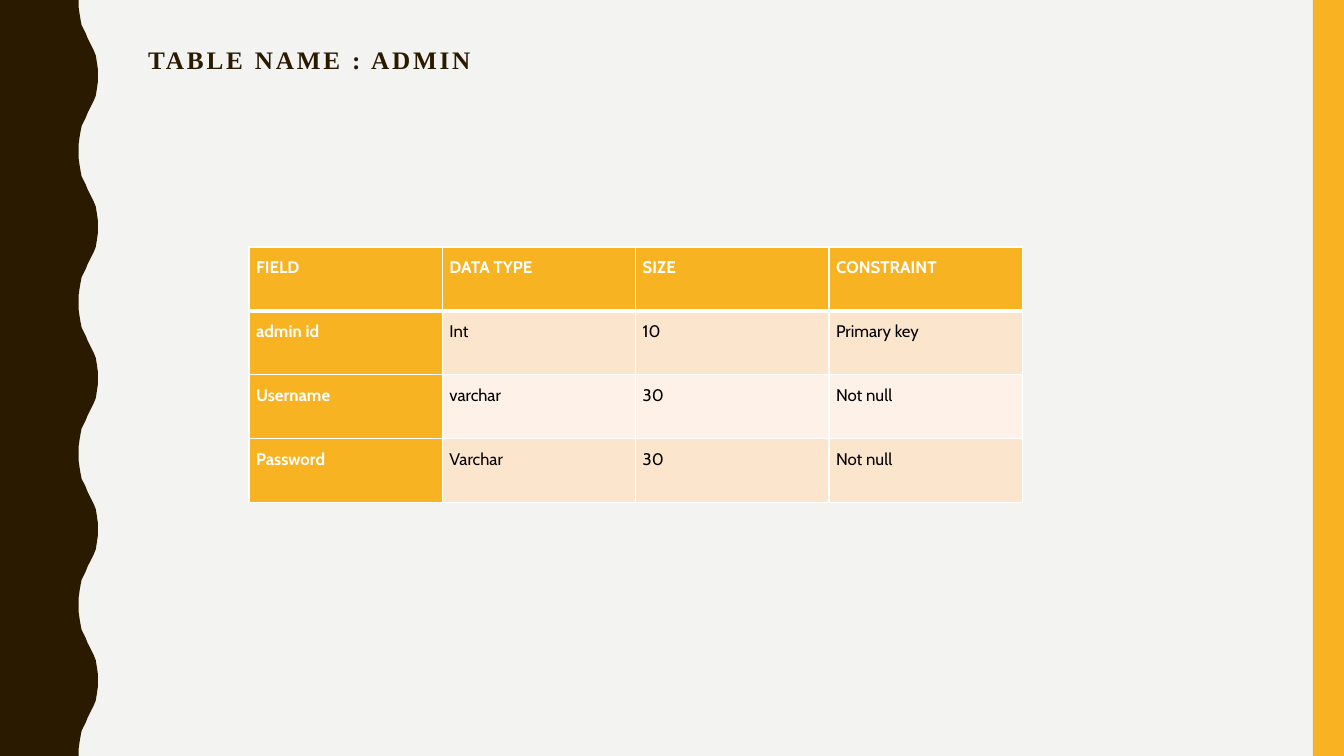
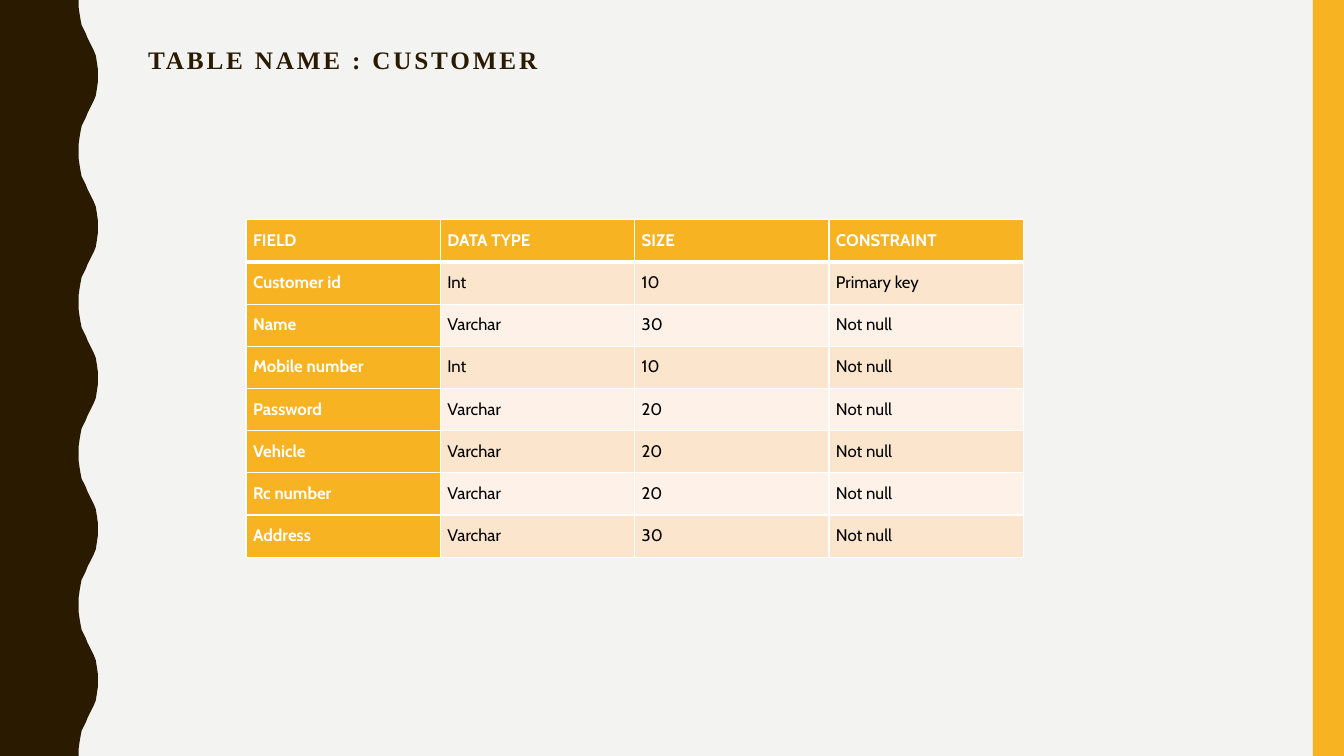
from lxml import etree
from pptx import Presentation
from pptx.dml.color import RGBColor
from pptx.enum import shapes, text
from pptx.oxml.ns import qn
from pptx.util import Inches, Pt


class Theme:
    paper = RGBColor.from_string("F3F3F2")
    dark = RGBColor.from_string("2A1A00")
    gold = RGBColor.from_string("F8B323")
    bands = [RGBColor.from_string("FCE5CD"), RGBColor.from_string("FEF2E8")]
    white = RGBColor.from_string("FFFFFF")
    black = RGBColor.from_string("000000")
    head_font, body_font = "Times New Roman", "Cabin"
    head_size, body_size = Pt(18), Pt(12)
    thin, thick = Pt(1), Pt(3)


WIDE, HIGH = 13.33, 7.5

# Half a wave of the left band, as x and y in inches
WAVES = 5
HALF = [(0.78, 0), (0.78, 0.07), (0.79, 0.14), (0.8, 0.2), (0.81, 0.25),
        (0.83, 0.29), (0.85, 0.33), (0.87, 0.38), (0.89, 0.42), (0.91, 0.46),
        (0.93, 0.5), (0.95, 0.55), (0.96, 0.61), (0.97, 0.68), (0.97, 0.75)]

# Table content
HEADER = ["FIELD", "DATA TYPE", "SIZE", "CONSTRAINT"]
ADMIN = [
    HEADER,
    ["admin id", "Int", "10", "Primary key"],
    ["Username", "varchar", "30", "Not null"],
    ["Password", "Varchar", "30", "Not null"],
]
CUSTOMER = [
    HEADER,
    ["Customer id", "Int", "10", "Primary key"],
    ["Name", "Varchar", "30", "Not null"],
    ["Mobile number", "Int", "10", "Not null"],
    ["Password", "Varchar", "20", "Not null"],
    ["Vehicle", "Varchar", "20", "Not null"],
    ["Rc number", "Varchar", "20", "Not null"],
    ["Address", "Varchar", "30", "Not null"],
]


def paint(shape, color):
    shape.shadow.inherit = False
    shape.fill.solid()
    shape.fill.fore_color.rgb = color
    shape.line.fill.background()


def add_wave(slide):
    period = HIGH / WAVES
    wave = HALF + [(x, period - y) for x, y in reversed(HALF[:-1])]
    edge = [(x, y + n * period) for n in range(WAVES) for x, y in wave]
    points = [(Inches(x), Inches(y)) for x, y in edge + [(0, HIGH)]]
    pen = slide.shapes.build_freeform(0, 0)
    pen.add_line_segments(points, close=True)
    band = pen.convert_to_shape()
    paint(band, Theme.dark)
    return band


def add_bar(slide):
    bar = slide.shapes.add_shape(shapes.MSO_SHAPE.RECTANGLE, Inches(13.02), 0,
                                 Inches(0.31), Inches(HIGH))
    paint(bar, Theme.gold)
    return bar


def set_master(deck, slide):
    """Draw the shared bands on a slide and move them to the master."""
    master = deck.slide_master
    master.background.fill.solid()
    master.background.fill.fore_color.rgb = Theme.paper
    for n, band in enumerate([add_wave(slide), add_bar(slide)]):
        band.element.nvSpPr.cNvPr.set("id", str(100 + n))
        master.shapes.element.insert(2 + n, band.element)


def set_title(slide, words):
    title = slide.shapes.title
    title.left, title.top = Inches(1.37), Inches(0.42)
    title.width, title.height = Inches(11.13), Inches(1.63)
    frame = title.text_frame
    frame.text = words
    frame.auto_size = text.MSO_AUTO_SIZE.NONE
    frame.vertical_anchor = text.MSO_ANCHOR.TOP
    line = frame.paragraphs[0]
    line.alignment = text.PP_ALIGN.LEFT
    line.line_spacing = 0.9
    font = line.runs[0].font
    font.name, font.size, font.bold = Theme.head_font, Theme.head_size, True
    font.color.rgb = Theme.dark
    line.runs[0].font._element.set("spc", "200")


def set_edges(cell, top, bottom):
    props = cell._tc.get_or_add_tcPr()
    widths = {"L": Theme.thin, "R": Theme.thin, "T": top, "B": bottom}
    for side, width in widths.items():
        edge = etree.SubElement(props, qn("a:ln" + side), w=str(width))
        fill = etree.SubElement(edge, qn("a:solidFill"))
        etree.SubElement(fill, qn("a:srgbClr"), val=str(Theme.white))


def set_cell(cell, words, row, col):
    label = row == 0 or col == 0
    set_edges(cell, Theme.thick if row == 1 else Theme.thin,
              Theme.thick if row == 0 else Theme.thin)
    cell.fill.solid()
    cell.fill.fore_color.rgb = Theme.gold if label else Theme.bands[(row - 1) % 2]
    cell.margin_left = cell.margin_right = Inches(0.07)
    cell.margin_top = cell.margin_bottom = 0
    cell.text_frame.text = words
    line = cell.text_frame.paragraphs[0]
    line.line_spacing = 1.5
    font = line.runs[0].font
    font.name, font.size, font.bold = Theme.body_font, Theme.body_size, label
    font.color.rgb = Theme.white if label else Theme.black


def add_grid(slide, rows, left, top, width, height):
    frame = slide.shapes.add_table(len(rows), len(rows[0]), Inches(left),
                                   Inches(top), Inches(width), Inches(height))
    grid = frame.table
    grid.first_col = True
    for r, row in enumerate(rows):
        for c, words in enumerate(row):
            set_cell(grid.cell(r, c), words, r, c)


def main():
    deck = Presentation()
    deck.slide_width, deck.slide_height = Inches(WIDE), Inches(HIGH)
    layout = deck.slide_layouts.get_by_name("Title Only")

    # Admin table
    admin = deck.slides.add_slide(layout)
    set_master(deck, admin)
    set_title(admin, "TABLE NAME : ADMIN")
    add_grid(admin, ADMIN, 2.47, 2.45, 7.67, 2.54)

    # Customer table
    client = deck.slides.add_slide(layout)
    set_title(client, "TABLE NAME : CUSTOMER")
    add_grid(client, CUSTOMER, 2.44, 2.18, 7.71, 3.35)

    deck.save("out.pptx")


if __name__ == "__main__":
    main()
